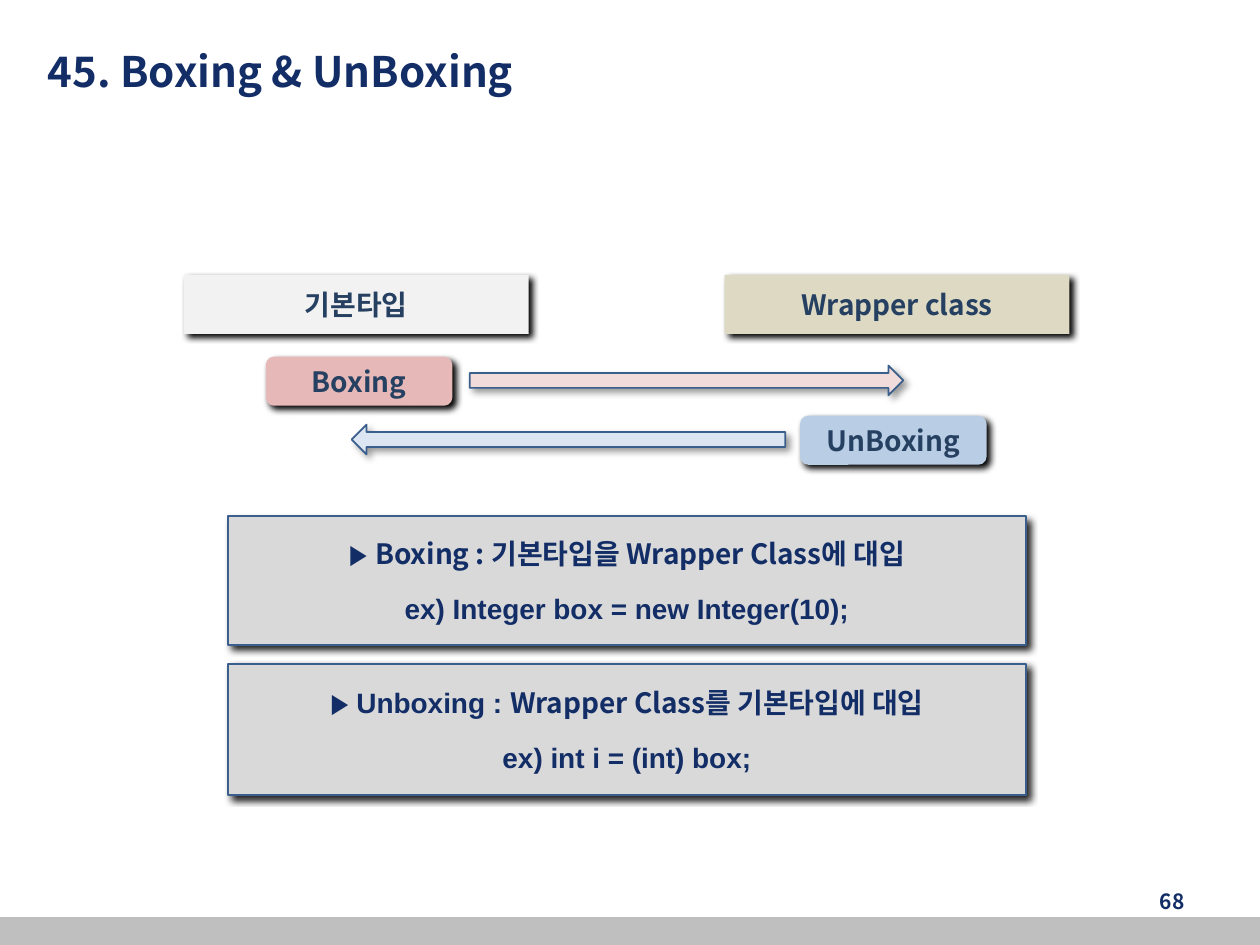
"""Build the Boxing & UnBoxing slide."""
import lxml.etree
import pptx
import pptx.dml.color
import pptx.enum.shapes
import pptx.enum.text
import pptx.oxml.ns
import pptx.util

Cm = pptx.util.Cm
Pt = pptx.util.Pt
RGBColor = pptx.dml.color.RGBColor
SHAPE = pptx.enum.shapes.MSO_SHAPE
ALIGN = pptx.enum.text.PP_ALIGN
qn = pptx.oxml.ns.qn

NAVY = RGBColor(0x13, 0x2E, 0x66)
SLATE = RGBColor(0x25, 0x40, 0x61)
OUTLINE = RGBColor(0x3A, 0x5F, 0x8C)
FOOTER_GRAY = RGBColor(0xBF, 0xBF, 0xBF)
PANEL_GRAY = RGBColor(0xD9, 0xD9, 0xD9)
PALE_GRAY = RGBColor(0xF2, 0xF2, 0xF2)
TAN = RGBColor(0xDD, 0xD9, 0xC3)
ROSE = RGBColor(0xE6, 0xB9, 0xB8)
PALE_ROSE = RGBColor(0xF2, 0xDC, 0xDB)
BLUE = RGBColor(0xB9, 0xCD, 0xE5)
PALE_BLUE = RGBColor(0xDC, 0xE6, 0xF2)

LATIN = "Arial"
KOREAN = "Noto Sans CJK KR"


def add_run(paragraph, text, font=KOREAN, size=16, color=NAVY):
    run = paragraph.add_run()
    run.text = text
    run.font.name = font
    run.font.size = Pt(size)
    run.font.bold = True
    run.font.color.rgb = color
    east_asian = lxml.etree.SubElement(run.font._element, qn("a:ea"))
    east_asian.set("typeface", KOREAN)


def add_shadow(shape, opacity):
    effects = shape._element.spPr.find(qn("a:effectLst"))
    shadow = lxml.etree.SubElement(
        effects, qn("a:outerShdw"), blurRad=str(Pt(4)), dist=str(Pt(3)),
        dir=str(45 * 60000), algn="tl", rotWithShape="0")
    color = lxml.etree.SubElement(shadow, qn("a:srgbClr"), val="000000")
    lxml.etree.SubElement(color, qn("a:alpha"), val=str(opacity * 1000))


def add_filled_shape(slide, kind, box, fill, outlined=False, opacity=0):
    shape = slide.shapes.add_shape(kind, *map(Cm, box))
    shape.shadow.inherit = False
    shape.fill.solid()
    shape.fill.fore_color.rgb = fill
    if outlined:
        shape.line.color.rgb = OUTLINE
        shape.line.width = Pt(1)
    else:
        shape.line.fill.background()
    if opacity:
        add_shadow(shape, opacity)
    return shape


def add_label(slide, kind, box, fill, text):
    shape = add_filled_shape(slide, kind, box, fill, opacity=100)
    paragraph = shape.text_frame.paragraphs[0]
    paragraph.alignment = ALIGN.CENTER
    add_run(paragraph, text, color=SLATE)


def add_arrow(slide, left, top, fill, rotation=0):
    arrow = add_filled_shape(slide, SHAPE.RIGHT_ARROW, (left, top, 8.74, 0.6),
                             fill, outlined=True, opacity=40)
    arrow.rotation = rotation


def add_explanation(slide, top, height, heading_runs, example):
    panel = add_filled_shape(slide, SHAPE.FLOWCHART_PROCESS,
                             (4.6, top, 16.08, height), PANEL_GRAY,
                             outlined=True, opacity=86)
    heading = panel.text_frame.paragraphs[0]
    heading.alignment = ALIGN.CENTER
    for text, font in heading_runs:
        add_run(heading, text, font)
    code = panel.text_frame.add_paragraph()
    code.alignment = ALIGN.CENTER
    code.space_before = Pt(12)
    add_run(code, example, LATIN)


def add_text(slide, box, text, size, alignment):
    frame = slide.shapes.add_textbox(*map(Cm, box)).text_frame
    frame.word_wrap = True
    frame.vertical_anchor = pptx.enum.text.MSO_ANCHOR.MIDDLE
    paragraph = frame.paragraphs[0]
    paragraph.alignment = alignment
    add_run(paragraph, text, size=size)


def main():
    presentation = pptx.Presentation()
    presentation.slide_width = Cm(25.4)
    presentation.slide_height = Cm(19.05)
    slide = presentation.slides.add_slide(presentation.slide_layouts[6])

    add_filled_shape(slide, SHAPE.RECTANGLE, (0, 18.49, 25.4, 0.56), FOOTER_GRAY)
    add_text(slide, (18.21, 17.65, 5.92, 1.02), "68", 12, ALIGN.RIGHT)
    add_text(slide, (0.71, 0.33, 18.21, 2.21), "45. Boxing & UnBoxing", 24, ALIGN.LEFT)

    add_explanation(slide, 13.39, 2.64,
                    [("▶ Unboxing : ", LATIN),
                     ("Wrapper Class를 기본타입에 대입", KOREAN)],
                    "ex) int i = (int) box;")
    add_explanation(slide, 10.41, 2.59,
                    [("▶ ", LATIN),
                     ("Boxing : 기본타입을 Wrapper Class에 대입", KOREAN)],
                    "ex) Integer box = new Integer(10);")

    for left, fill, text in ((3.71, PALE_GRAY, "기본타입"),
                             (14.61, TAN, "Wrapper class")):
        add_label(slide, SHAPE.RECTANGLE, (left, 5.54, 6.95, 1.19), fill, text)
    for left, top, fill, text in ((5.36, 7.19, ROSE, "Boxing"),
                                  (16.13, 8.38, BLUE, "UnBoxing")):
        add_label(slide, SHAPE.ROUNDED_RECTANGLE, (left, top, 3.76, 0.99), fill, text)
    add_arrow(slide, 9.47, 7.37, PALE_ROSE)
    add_arrow(slide, 7.09, 8.56, PALE_BLUE, rotation=180)

    presentation.save("out.pptx")


if __name__ == "__main__":
    main()
